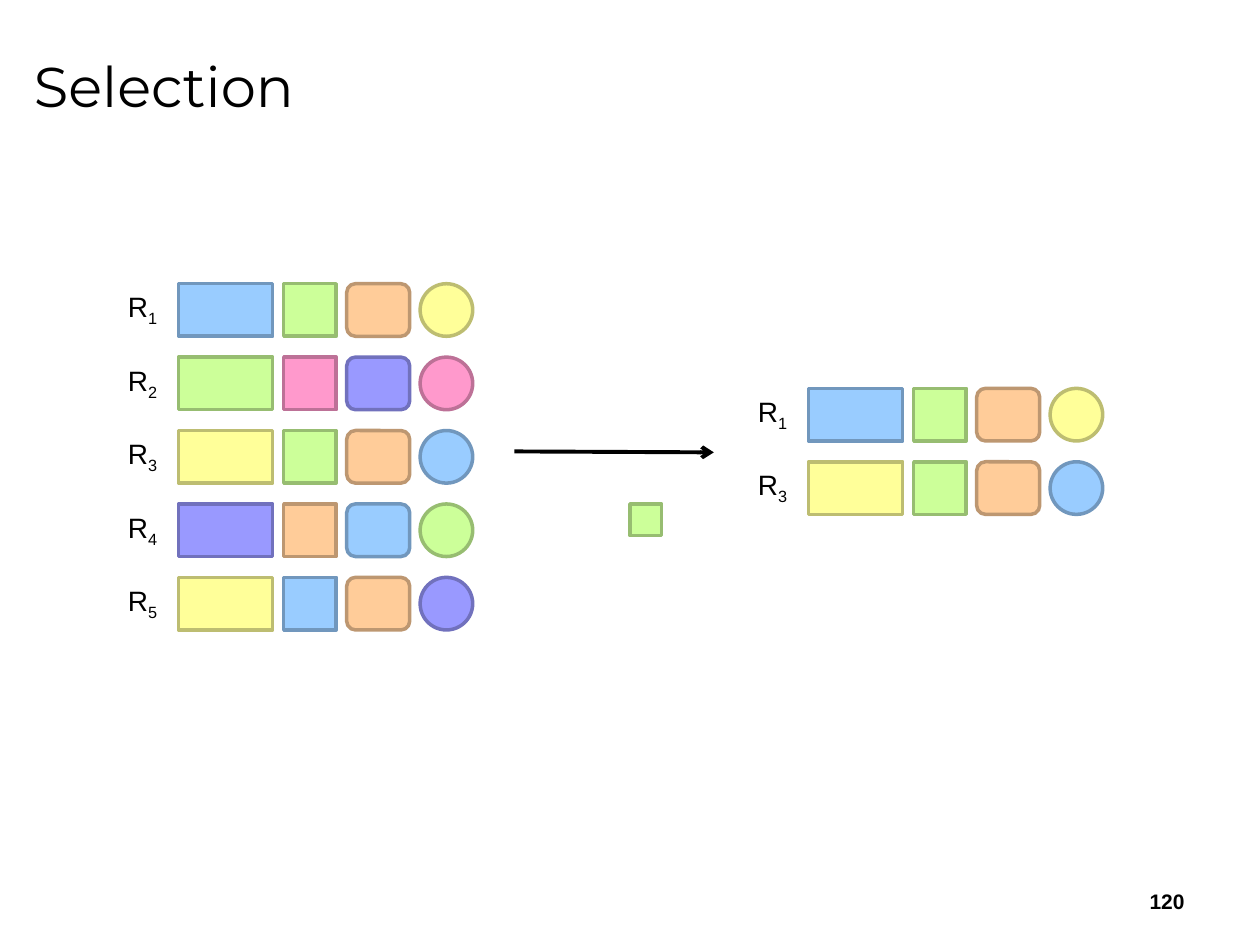
"""Build a slide showing relational selection: five records filtered down to two."""
import dataclasses

import pptx
import pptx.dml.color
import pptx.enum.shapes
import pptx.enum.text
import pptx.oxml
import pptx.oxml.ns
import pptx.presentation
import pptx.slide
import pptx.text.text
import pptx.util

Cm = pptx.util.Cm
Pt = pptx.util.Pt
Shape = pptx.enum.shapes.MSO_SHAPE
Anchor = pptx.enum.text.MSO_ANCHOR
Align = pptx.enum.text.PP_ALIGN

FILLS = {
    "blue": "99CCFF",
    "green": "CCFF99",
    "orange": "FFCC99",
    "yellow": "FFFF99",
    "pink": "FF99CC",
    "violet": "9999FF",
}
OUTLINES = {
    "blue": "7197BD",
    "green": "97BD71",
    "orange": "BD9771",
    "yellow": "BDBD71",
    "pink": "BD7197",
    "violet": "7171BD",
}
INK = {"text": "000000", "arrow": "000000"}
FIELD_HEIGHT = 1.06
ROW_PITCH = 1.48


@dataclasses.dataclass(frozen=True)
class Field:
    """One attribute column: its outline, offset from the label and width in cm."""

    outline: Shape
    offset: float
    width: float


@dataclasses.dataclass(frozen=True)
class Record:
    """One tuple of the relation and the colours of its fields."""

    number: int
    colors: tuple[str, ...]


FIELDS = (
    Field(Shape.RECTANGLE, 1.27, 1.9),
    Field(Shape.RECTANGLE, 3.39, 1.06),
    Field(Shape.ROUNDED_RECTANGLE, 4.66, 1.27),
    Field(Shape.OVAL, 6.14, 1.06),
)
RECORDS = (
    Record(1, ("blue", "green", "orange", "yellow")),
    Record(2, ("green", "pink", "violet", "pink")),
    Record(3, ("yellow", "green", "orange", "blue")),
    Record(4, ("violet", "orange", "blue", "green")),
    Record(5, ("yellow", "blue", "orange", "violet")),
)
CRITERION = "green"


def rgb(value: str) -> pptx.dml.color.RGBColor:
    """Turn a hex string into a colour."""
    return pptx.dml.color.RGBColor.from_string(value)


def style_run(run: pptx.text.text._Run, size: float, font: str = "Arial") -> None:
    """Give a run its font, size and ink colour."""
    run.font.name = font
    run.font.size = Pt(size)
    run.font.color.rgb = rgb(INK["text"])


def draw_field(slide: pptx.slide.Slide, outline: Shape, left: float, top: float,
               width: float, height: float, color: str) -> None:
    """Draw one coloured field value."""
    field = slide.shapes.add_shape(outline, Cm(left), Cm(top), Cm(width), Cm(height))
    field.shadow.inherit = False
    field.fill.solid()
    field.fill.fore_color.rgb = rgb(FILLS[color])
    field.line.color.rgb = rgb(OUTLINES[color])
    field.line.width = Pt(2)


def draw_label(slide: pptx.slide.Slide, number: int, left: float, top: float) -> None:
    """Write a record name with its subscript."""
    label = slide.shapes.add_textbox(Cm(left), Cm(top), Cm(1.14), Cm(0.94)).text_frame
    label.word_wrap = False
    label.auto_size = pptx.enum.text.MSO_AUTO_SIZE.SHAPE_TO_FIT_TEXT
    name = label.paragraphs[0]
    name.text = "R"
    subscript = name.add_run()
    subscript.text = str(number)
    for run in name.runs:
        style_run(run, 16)
    subscript.font._element.set("baseline", "-25000")


def draw_relation(slide: pptx.slide.Slide, records: tuple[Record, ...],
                  left: float, top: float) -> None:
    """Draw a relation as evenly spaced rows of fields."""
    for index, record in enumerate(records):
        row_top = top + index * ROW_PITCH
        draw_label(slide, record.number, left, row_top)
        for field, color in zip(FIELDS, record.colors):
            draw_field(slide, field.outline, left + field.offset, row_top,
                       field.width, FIELD_HEIGHT, color)


def draw_arrow(slide: pptx.slide.Slide) -> None:
    """Draw the arrow from the input relation to the result."""
    arrow = slide.shapes.add_connector(
        pptx.enum.shapes.MSO_CONNECTOR.STRAIGHT, Cm(10.37), Cm(9.1), Cm(14.39), Cm(9.12))
    arrow.line.color.rgb = rgb(INK["arrow"])
    arrow.line.width = Pt(2.25)
    head = pptx.oxml.parse_xml(
        f'<a:tailEnd {pptx.oxml.ns.nsdecls("a")} type="arrow"/>')
    arrow.line._get_or_add_ln().append(head)
    arrow._element.spPr.append(
        pptx.oxml.parse_xml(f'<a:effectLst {pptx.oxml.ns.nsdecls("a")}/>'))


def write_title(slide: pptx.slide.Slide) -> None:
    """Place and format the slide title."""
    title = slide.shapes.title
    title.left, title.top = Cm(0.43), Cm(0.3)
    title.width, title.height = Cm(24.13), Cm(2.84)
    title.text_frame.text = "Selection"
    title.text_frame.vertical_anchor = Anchor.MIDDLE
    heading = title.text_frame.paragraphs[0]
    heading.alignment = Align.LEFT
    style_run(heading.runs[0], 32, "Montserrat")


def write_page_number(slide: pptx.slide.Slide) -> None:
    """Write the page number at the bottom right."""
    page = slide.shapes.add_textbox(Cm(18.21), Cm(17.65), Cm(5.92), Cm(1.02)).text_frame
    page.word_wrap = True
    page.vertical_anchor = Anchor.MIDDLE
    page.text = "120"
    number = page.paragraphs[0]
    number.alignment = Align.RIGHT
    style_run(number.runs[0], 12)
    number.runs[0].font.bold = True


def main() -> None:
    """Build and save the presentation."""
    deck = pptx.Presentation()
    deck.slide_width, deck.slide_height = Cm(25.4), Cm(19.05)
    slide = deck.slides.add_slide(deck.slide_layouts[5])
    selected = tuple(record for record in RECORDS if record.colors[1] == CRITERION)
    write_title(slide)
    draw_relation(slide, RECORDS, 2.33, 5.72)
    draw_arrow(slide)
    draw_field(slide, Shape.RECTANGLE, 12.7, 10.16, 0.64, 0.64, CRITERION)
    draw_relation(slide, selected, 15.03, 7.83)
    write_page_number(slide)
    deck.save("out.pptx")


if __name__ == "__main__":
    main()
